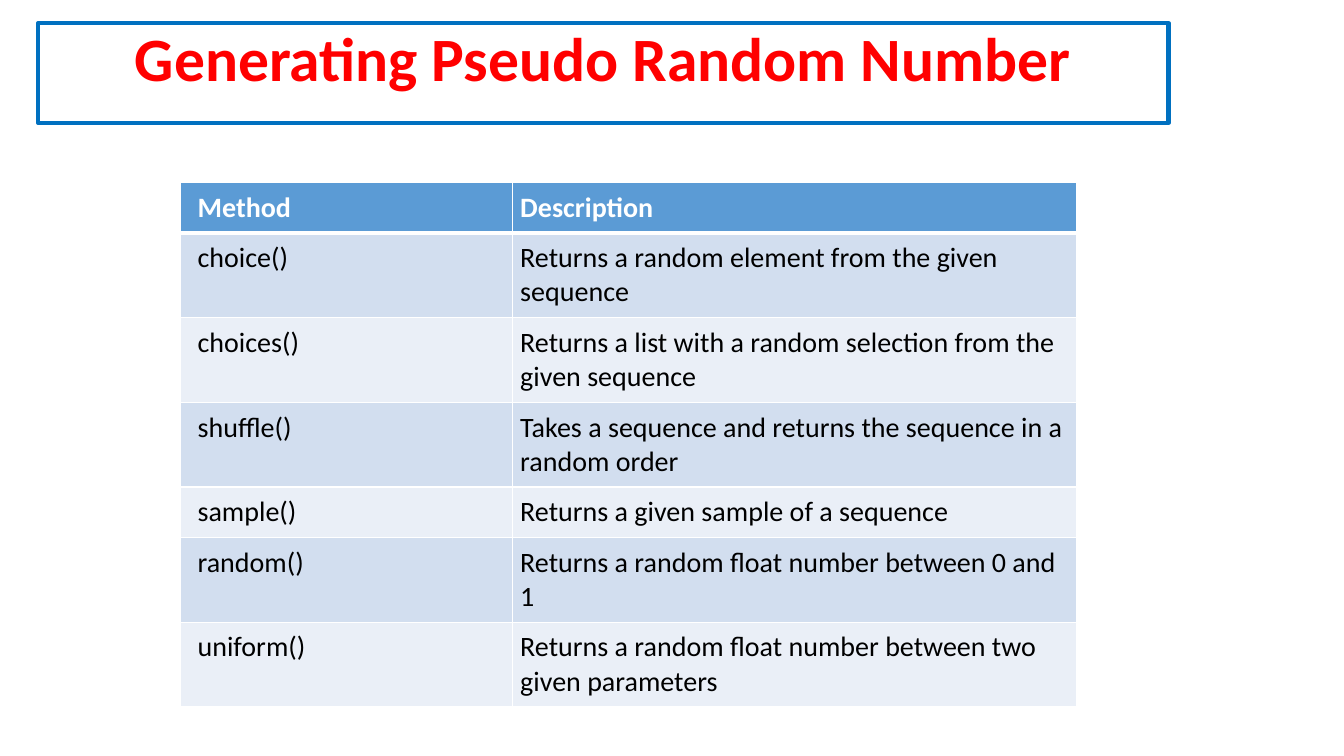
"""Build the slide listing the methods that generate pseudo random numbers."""
from lxml.etree import SubElement
from pptx import Presentation
from pptx.dml.color import RGBColor
from pptx.enum.shapes import MSO_SHAPE
from pptx.enum.text import MSO_ANCHOR, PP_ALIGN
from pptx.oxml.ns import qn
from pptx.util import Inches, Pt

TITLE = "Generating Pseudo Random Number"
ROWS = [
    ("Method", "Description"),
    ("choice()", "Returns a random element from the given sequence"),
    ("choices()", "Returns a list with a random selection from the given sequence"),
    ("shuffle()", "Takes a sequence and returns the sequence in a random order"),
    ("sample()", "Returns a given sample of a sequence"),
    ("random()", "Returns a random float number between 0 and 1"),
    ("uniform()", "Returns a random float number between two given parameters"),
]
COL_WIDTHS = (3.29, 5.6)
LEFT_MARGINS = (0.17, 0.08)
ROW_HEIGHT = 0.41
MARGIN = 0.08

RED = RGBColor(0xFF, 0x00, 0x00)
BLUE = RGBColor(0x00, 0x70, 0xC0)
WHITE = RGBColor(0xFF, 0xFF, 0xFF)
BLACK = RGBColor(0x00, 0x00, 0x00)
HEADER = RGBColor(0x5B, 0x9B, 0xD5)
BANDS = (RGBColor(0xEA, 0xEF, 0xF7), RGBColor(0xD2, 0xDE, 0xEF))


def write(tf, text, size=20, color=BLACK, bold=False, align=PP_ALIGN.LEFT, spacing=1.0):
    """Put one formatted paragraph into a text frame."""
    tf.word_wrap = True
    p = tf.paragraphs[0]
    p.alignment = align
    p.line_spacing = spacing
    r = p.add_run()
    r.text = text
    r.font.name = "Calibri"
    r.font.size = Pt(size)
    r.font.bold = bold
    r.font.color.rgb = color


def set_borders(cell, widths):
    """Draw white cell borders, ahead of the fill as the schema asks."""
    tcPr = cell._tc.get_or_add_tcPr()
    for i, (side, width) in enumerate(widths.items()):
        ln = SubElement(tcPr, qn(f"a:ln{side}"), w=str(Pt(width)))
        fill = SubElement(ln, qn("a:solidFill"))
        SubElement(fill, qn("a:srgbClr"), val=str(WHITE))
        tcPr.insert(i, ln)


def add_methods(s):
    """Add the banded table of methods."""
    table = s.shapes.add_table(
        len(ROWS), len(COL_WIDTHS), Inches(1.79), Inches(1.81),
        Inches(sum(COL_WIDTHS)), Inches(ROW_HEIGHT * len(ROWS))).table
    for col, width in zip(table.columns, COL_WIDTHS):
        col.width = Inches(width)
    for i, row in enumerate(ROWS):
        table.rows[i].height = Inches(ROW_HEIGHT)
        head = i == 0
        for j, text in enumerate(row):
            cell = table.cell(i, j)
            cell.margin_left = Inches(LEFT_MARGINS[j])
            cell.margin_top = cell.margin_right = cell.margin_bottom = Inches(MARGIN)
            cell.fill.solid()
            cell.fill.fore_color.rgb = HEADER if head else BANDS[i % 2]
            set_borders(cell, {"L": 1, "R": 1, "T": 3 if i == 1 else 1, "B": 3 if head else 1})
            write(cell.text_frame, text, color=WHITE if head else BLACK, bold=head)


def add_title(s):
    """Add the outlined title box."""
    sp = s.shapes.add_shape(
        MSO_SHAPE.RECTANGLE, Inches(0.38), Inches(0.23), Inches(11.21), Inches(0.99))
    sp.shadow.inherit = False
    sp.fill.background()
    sp.line.color.rgb = BLUE
    sp.line.width = Pt(3)
    sp.text_frame.vertical_anchor = MSO_ANCHOR.TOP
    write(sp.text_frame, TITLE, size=44, color=RED, bold=True,
          align=PP_ALIGN.CENTER, spacing=0.9)


def main():
    """Create and save the presentation."""
    prs = Presentation()
    prs.slide_width, prs.slide_height = Inches(13.33), Inches(7.5)
    s = prs.slides.add_slide(prs.slide_layouts[6])
    add_methods(s)
    add_title(s)
    prs.save("out.pptx")


if __name__ == "__main__":
    main()
